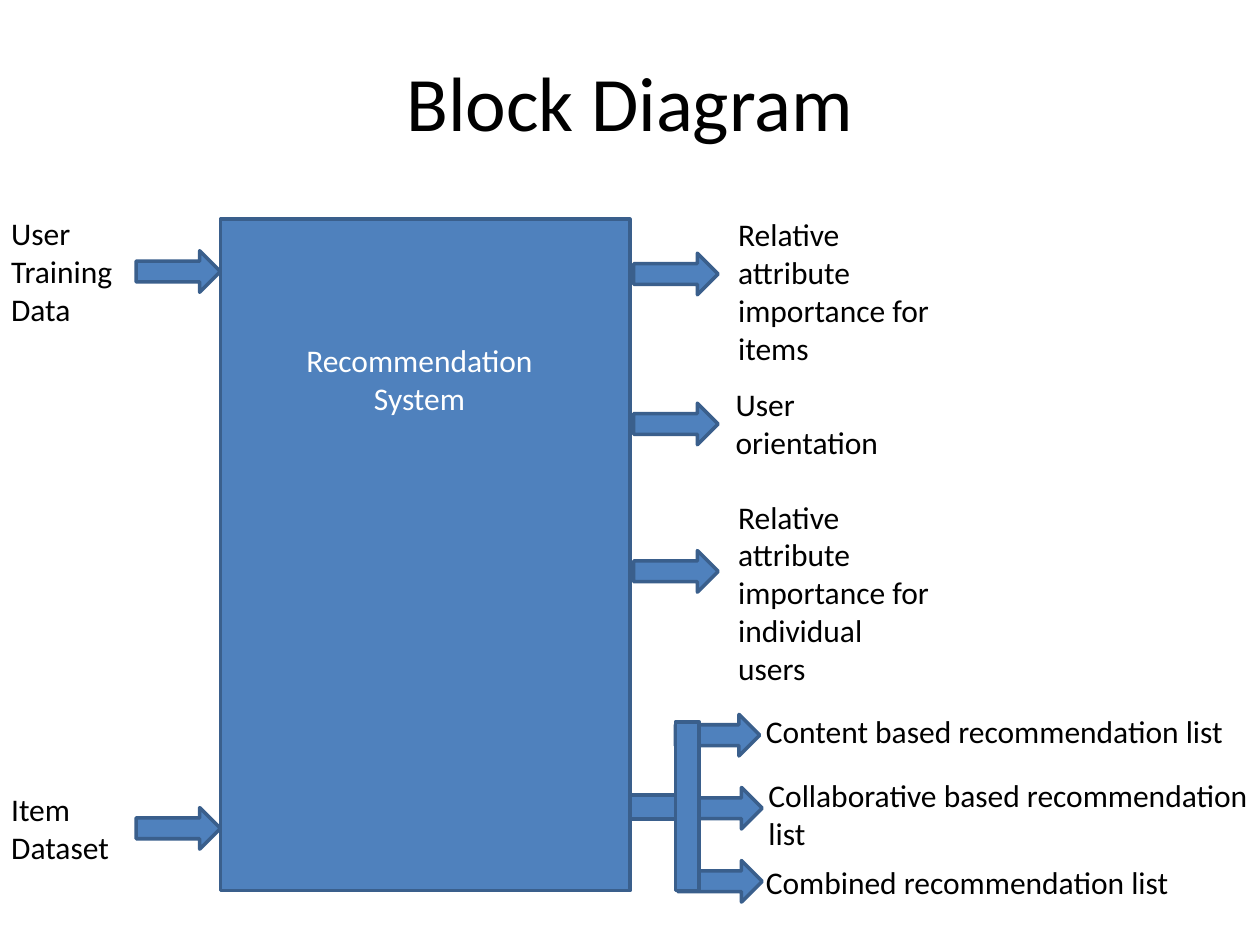
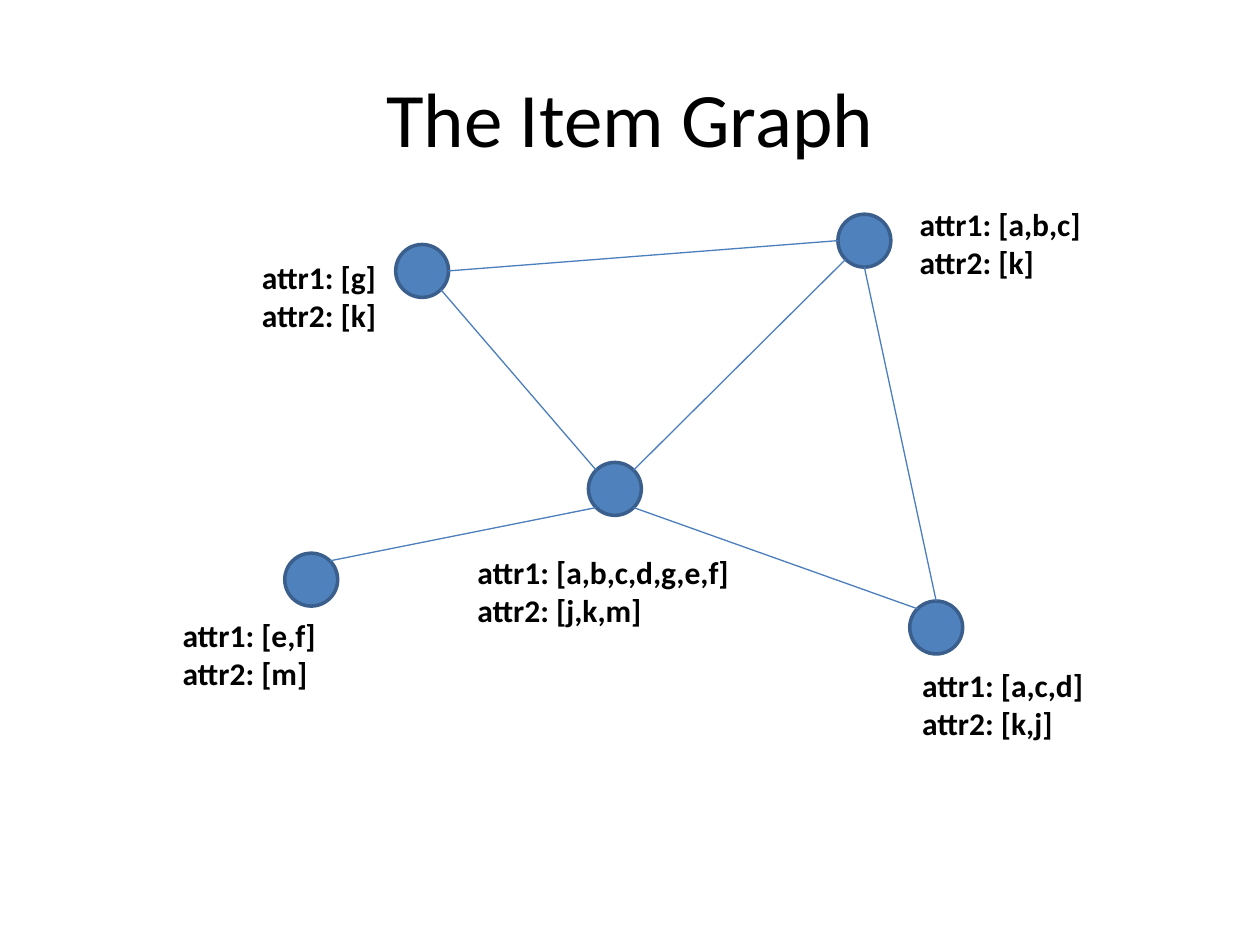
from dataclasses import dataclass
from math import cos, radians, sin

from lxml import etree
from pptx import Presentation
from pptx.dml.color import RGBColor
from pptx.enum.shapes import MSO_CONNECTOR, MSO_SHAPE
from pptx.enum.text import MSO_ANCHOR, MSO_AUTO_SIZE, PP_ALIGN
from pptx.oxml.ns import qn
from pptx.util import Inches, Pt

RECT = MSO_SHAPE.RECTANGLE
ARROW = MSO_SHAPE.RIGHT_ARROW
OVAL = MSO_SHAPE.OVAL
STRAIGHT = MSO_CONNECTOR.STRAIGHT
LEFT, CENTER = PP_ALIGN.LEFT, PP_ALIGN.CENTER
TOP, MIDDLE = MSO_ANCHOR.TOP, MSO_ANCHOR.MIDDLE
FIT_SHAPE, NO_FIT = MSO_AUTO_SIZE.SHAPE_TO_FIT_TEXT, MSO_AUTO_SIZE.NONE


@dataclass(frozen=True)
class Theme:
    font: str = "Calibri"
    text: RGBColor = RGBColor(0x00, 0x00, 0x00)
    light: RGBColor = RGBColor(0xFF, 0xFF, 0xFF)
    fill: RGBColor = RGBColor(0x4F, 0x81, 0xBD)
    outline: RGBColor = RGBColor(0x3A, 0x5F, 0x8C)
    edge: RGBColor = RGBColor(0x4B, 0x7E, 0xBC)
    title_size: Pt = Pt(44)
    body_size: Pt = Pt(18)
    outline_width: Pt = Pt(2)
    edge_width: Pt = Pt(0.75)


class Deck:
    """Holds the theme and the slide being drawn."""

    def __init__(self, theme):
        self.theme = theme
        self.prs = Presentation()
        self.prs.slide_width, self.prs.slide_height = Inches(10), Inches(7.5)
        self.slide = None

    def new_slide(self, title, top):
        self.slide = self.prs.slides.add_slide(self.prs.slide_layouts[6])
        self.text(0.5, top, 9, 1.25, [title], align=CENTER, anchor=MIDDLE,
                  fit=NO_FIT, size=self.theme.title_size)

    def text(self, x, y, w, h, lines, align=LEFT, anchor=TOP, fit=FIT_SHAPE,
             color=None, **font):
        sp = self.slide.shapes.add_textbox(*map(Inches, (x, y, w, h)))
        tf = sp.text_frame
        frame = {"word_wrap": True, "auto_size": fit, "vertical_anchor": anchor}
        for name, value in frame.items():
            setattr(tf, name, value)
        style = {"name": self.theme.font, "size": self.theme.body_size, **font}
        for i, line in enumerate(lines):
            p = tf.add_paragraph() if i else tf.paragraphs[0]
            p.alignment = align
            r = p.add_run()
            r.text = line
            for name, value in style.items():
                setattr(r.font, name, value)
            r.font.color.rgb = color or self.theme.text

    def shape(self, kind, x, y, w, h):
        sp = self.slide.shapes.add_shape(kind, *map(Inches, (x, y, w, h)))
        sp.shadow.inherit = False
        sp.fill.solid()
        sp.fill.fore_color.rgb = self.theme.fill
        sp.line.color.rgb = self.theme.outline
        sp.line.width = self.theme.outline_width

    def line(self, start, end):
        cn = self.slide.shapes.add_connector(
            STRAIGHT, *map(Inches, (*start, *end)))
        cn.line.color.rgb = self.theme.edge
        cn.line.width = self.theme.edge_width
        etree.SubElement(cn._element.spPr, qn("a:effectLst"))


def block_diagram(deck):
    deck.new_slide("Block Diagram", 0.17)
    deck.shape(RECT, 1.75, 1.74, 3.25, 5.33)

    # Inputs and direct outputs
    for x, y in [(1.08, 1.99), (1.08, 6.41),
                 (5.03, 2.01), (5.03, 3.2), (5.03, 4.37)]:
        deck.shape(ARROW, x, y, 0.67, 0.33)

    # Stem, branch arrows and the bar that joins them
    deck.shape(RECT, 5, 6.31, 0.55, 0.19)
    for x, y in [(5.36, 5.67), (5.38, 6.25), (5.38, 6.83)]:
        deck.shape(ARROW, x, y, 0.67, 0.33)
    deck.shape(RECT, 5.36, 5.73, 0.19, 1.34)

    # Labels
    labels = [
        (-0.01, 1.65, 1.5, 1.01, "User Training Data"),
        (-0.01, 6.22, 1.08, 0.71, "Item Dataset"),
        (5.76, 1.66, 1.75, 1.31, "Relative attribute importance for items"),
        (5.74, 3.01, 1.75, 0.71, "User orientation"),
        (5.76, 3.9, 1.73, 1.62,
         "Relative attribute importance for individual users"),
        (5.98, 5.6, 3.87, 0.4, "Content based recommendation list"),
        (6, 6.11, 4.25, 0.71, "Collaborative based recommendation list"),
        (5.98, 6.8, 3.87, 0.4, "Combined recommendation list"),
    ]
    for *box, label in labels:
        deck.text(*box, [label])
    deck.text(2.08, 2.66, 2.5, 0.71, ["Recommendation", "System"],
              align=CENTER, color=deck.theme.light)


def item_graph(deck):
    deck.new_slide("The Item Graph", 0.3)
    size = 0.42

    # Node: left, top, then label left, top, width and attribute values
    nodes = {
        "g": (3.14, 1.94, 1.98, 2.0, 1.2, "g", "k"),
        "abc": (6.65, 1.7, 7.2, 1.58, 1.5, "a,b,c", "k"),
        "ef": (2.26, 4.39, 1.35, 4.84, 1.35, "e,f", "m"),
        "acd": (7.22, 4.77, 7.22, 5.24, 1.5, "a,c,d", "k,j"),
        "hub": (4.67, 3.67, 3.69, 4.34, 2.3, "a,b,c,d,g,e,f", "j,k,m"),
    }
    for x, y, label_x, label_y, label_w, attr1, attr2 in nodes.values():
        deck.shape(OVAL, x, y, size, size)
        deck.text(label_x, label_y, label_w, 0.71,
                  [f"attr1: [{attr1}]", f"attr2: [{attr2}]"], bold=True)

    def rim(node, angle):
        """Point on a node's rim, in degrees clockwise from the right."""
        x, y = nodes[node][:2]
        radius, a = size / 2, radians(angle)
        return x + radius * (1 + cos(a)), y + radius * (1 + sin(a))

    # Edges: each end is a node and the angle where the line meets it
    edges = [
        ("hub", -45, "abc", 135),
        ("hub", 45, "acd", -135),
        ("g", 0, "abc", 180),
        ("abc", 90, "acd", -90),
        ("hub", -135, "g", 45),
        ("hub", 135, "ef", -45),
    ]
    for start, start_angle, end, end_angle in edges:
        deck.line(rim(start, start_angle), rim(end, end_angle))


def main():
    deck = Deck(Theme())
    block_diagram(deck)
    item_graph(deck)
    deck.prs.save("out.pptx")


if __name__ == "__main__":
    main()
